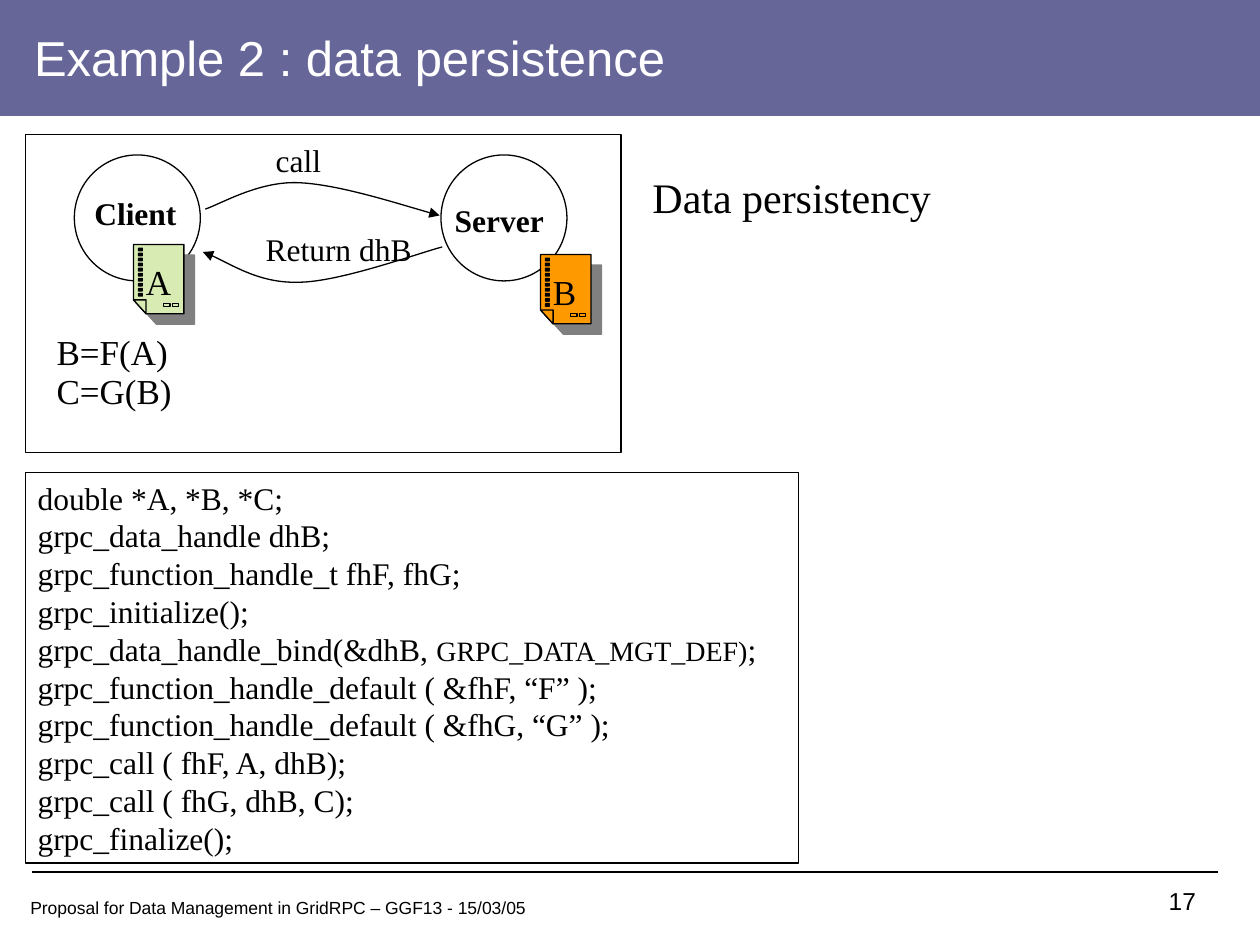
from lxml import etree
from pptx import Presentation
from pptx.dml.color import RGBColor
from pptx.enum.shapes import MSO_CONNECTOR, MSO_SHAPE as SHAPE
from pptx.enum.text import MSO_ANCHOR as ANCHOR, MSO_AUTO_SIZE as AUTO, PP_ALIGN as ALIGN
from pptx.oxml.ns import qn
from pptx.util import Inches, Pt

rgb = RGBColor.from_string
prs = Presentation()
prs.slide_width, prs.slide_height = Inches(10), Inches(7.5)
U = prs.slide_width // 100   # square grid cell: 100 columns by 75 rows
FINE = U / 10                # freeform points count tenths of a cell
SERIF, SANS = "Times New Roman", "Arial"
s = prs.slides.add_slide(prs.slide_layouts[5])


def style(sp, fill=None, line="000000"):
    """Set fill and outline, and drop the theme shadow."""
    sp.shadow.inherit = False
    for part, color in ((sp.fill, fill), (sp.line.fill, line)):
        if color:
            part.solid()
            part.fore_color.rgb = rgb(color)
        else:
            part.background()
    if line:
        sp.line.width = Pt(0.75)


def write(sp, lines, size, name=SERIF, color="000000", bold=False, wrap=False,
          anchor=ANCHOR.TOP, fit=AUTO.SHAPE_TO_FIT_TEXT, **para):
    """Fill a shape with lines; a line is a list of (text, size or None) runs."""
    tf = sp.text_frame
    for key, value in dict(word_wrap=wrap, auto_size=fit, vertical_anchor=anchor).items():
        setattr(tf, key, value)
    for i, line in enumerate(lines):
        p = tf.add_paragraph() if i else tf.paragraphs[0]
        for key, value in {"alignment": ALIGN.LEFT, **para}.items():
            setattr(p, key, value)
        for text, run_size in line:
            r = p.add_run()
            r.text = text
            for key, value in dict(name=name, size=Pt(run_size or size), bold=bold).items():
                setattr(r.font, key, value)
            r.font.color.rgb = rgb(color)


# Title on its band
bar = s.shapes.add_shape(SHAPE.ROUNDED_RECTANGLE, 0, 0, prs.slide_width, round(9.2 * U))
bar.adjustments[0] = 0.002
style(bar, "666699", None)
s.shapes._spTree.insert(2, bar._element)
title = s.shapes.title
for key, cells in dict(left=1.7, top=1.5, width=85, height=6.1).items():
    setattr(title, key, round(cells * U))
write(title, [[("Example 2 : data persistence", None)]], 28, SANS, "FFFFFF",
      wrap=True, anchor=ANCHOR.MIDDLE, fit=AUTO.NONE)

# Footer: rule, page number, caption
rule = s.shapes.add_connector(MSO_CONNECTOR.STRAIGHT,
                              *[round(c * U) for c in (2.5, 69.2, 96.7, 69.2)])
rule.line.color.rgb = rgb("000000")
rule.line.width = Pt(1.25)
etree.SubElement(rule._element.spPr, qn("a:effectLst"))
for text, box, size, align in (
    ("17", (89.2, 70, 6.7, 3.3), 14, ALIGN.RIGHT),
    ("Proposal for Data Management in GridRPC – GGF13 - 15/03/05",
     (0.8, 70.8, 42.5, 4.2), 10, ALIGN.CENTER),
):
    tb = s.shapes.add_textbox(*[round(c * U) for c in box])
    write(tb, [[(text, None)]], size, SANS, wrap=True, alignment=align, line_spacing=0.96)

# Diagram frame, client and server circles
for kind, box in (
    (SHAPE.RECTANGLE, (2, 10.7, 47.3, 25.2)),
    (SHAPE.OVAL, (5.9, 12.3, 10, 10)),
    (SHAPE.OVAL, (35, 12.3, 10, 10)),
):
    style(s.shapes.add_shape(kind, *[round(c * U) for c in box]))

# Curved arrows: a start, then two Bézier segments of three points each
for start, *points in (
    ((163, 166), (175, 162), (205, 144), (236, 145), (268, 146), (326, 165), (349, 171)),
    ((351, 196), (332, 201), (269, 224), (237, 224), (206, 225), (176, 205), (161, 200)),
):
    fb = s.shapes.build_freeform(*start, scale=FINE)
    fb.add_line_segments(points, close=False)
    arrow = fb.convert_to_shape()
    style(arrow)
    path = next(arrow._element.iter(qn("a:path")))
    segments = path.findall(qn("a:lnTo"))
    for i in range(0, len(segments), 3):
        curve = etree.SubElement(path, qn("a:cubicBezTo"))
        for segment in segments[i:i + 3]:
            curve.append(segment[0])
            path.remove(segment)
    etree.SubElement(arrow.line._get_or_add_ln(), qn("a:tailEnd"), type="triangle")

# Labels
for text, box, size, bold in (
    ("Client", (6.5, 14.9, 8.5, 4), 18, True),
    ("Server", (35.1, 15.5, 9.1, 4), 18, True),
    ("Return dhB", (20.1, 17.8, 13.6, 4), 18, False),
    ("call", (20.9, 10.7, 5.6, 4), 18, False),
    ("Data persistency", (50.8, 13.1, 24.1, 5), 24, False),
    ("B=F(A)", (3.5, 25.7, 11.5, 4.4), 20, False),
    ("C=G(B)", (3.5, 28.8, 11.5, 4.4), 20, False),
):
    tb = s.shapes.add_textbox(*[round(c * U) for c in box])
    write(tb, [[(text, None)]], size, bold=bold)

# Document icons: sheet, folded corner, two slots and ten binding marks
contours = [
    [(20, 55), (10, 55), (0, 44), (0, 0), (40, 0), (40, 55)],
    [(0, 44), (10, 44), (10, 55)],
]
contours += [[(x, 47), (x + 5, 47), (x + 5, 49), (x, 49)] for x in (24, 31)]
contours += [[(4, y), (7, y), (5, y + 1), (4, y + 1), (5, y + 2), (7, y), (7, y + 2), (4, y + 2)]
             for y in range(3, 43, 4)]
for letter, x, y, fill in (("A", 10.6, 19.4, "D8EBB3"), ("B", 42.9, 20.2, "FF9900")):
    group = s.shapes.add_group_shape()
    fb = group.shapes.build_freeform(*contours[0][0], scale=FINE)
    fb.add_line_segments(contours[0][1:])
    for start, *points in contours[1:]:
        fb.move_to(*start)
        fb.add_line_segments(points)
    sheet = fb.convert_to_shape(round(x * U), round(y * U))
    style(sheet, fill)
    # one path for each contour, so that overlaps stay filled
    whole = next(sheet._element.iter(qn("a:path")))
    for step in list(whole):
        if step.tag == qn("a:moveTo"):
            path = etree.SubElement(whole.getparent(), qn("a:path"), dict(whole.attrib))
        path.append(step)
    whole.getparent().remove(whole)
    shadow = etree.SubElement(sheet._element.spPr.find(qn("a:effectLst")), qn("a:outerShdw"),
                              dist=str(Pt(8.5)), dir="2700000", algn="ctr", rotWithShape="0")
    etree.SubElement(shadow, qn("a:srgbClr"), val="808080")
    tb = group.shapes.add_textbox(*[round(c * U) for c in (x, y + 0.8, 4, 4.4)])
    write(tb, [[(letter, None)]], 20)

# Code listing
code = [[(text, None)] for text in (
    "double *A, *B, *C;",
    "grpc_data_handle dhB;",
    "grpc_function_handle_t fhF, fhG;",
    "grpc_initialize();",
    "grpc_data_handle_bind(&dhB, ",
    "grpc_function_handle_default ( &fhF, “F” );",
    "grpc_function_handle_default ( &fhG, “G” );",
    "grpc_call ( fhF, A, dhB);",
    "grpc_call ( fhG, dhB, C);",
    "grpc_finalize();",
)]
code[4] += [("GRPC_DATA_MGT_DEF)", 16), (";", None)]
listing = s.shapes.add_shape(SHAPE.RECTANGLE, *[round(c * U) for c in (2, 37.5, 61.4, 31)])
style(listing)
write(listing, code, 18, wrap=True)

prs.save("out.pptx")
